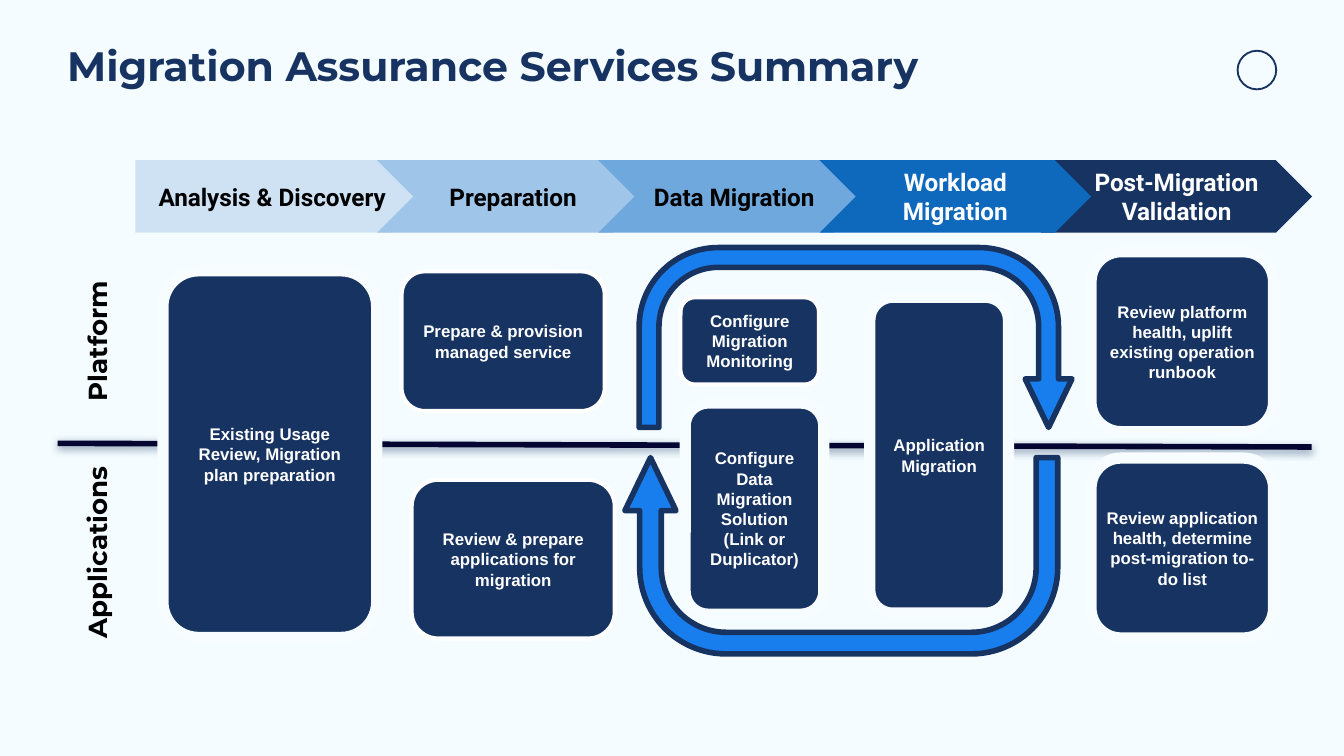
from lxml.etree import SubElement
from pptx import Presentation
from pptx.dml.color import RGBColor
from pptx.enum.shapes import MSO_CONNECTOR, MSO_SHAPE as Preset
from pptx.enum.text import MSO_ANCHOR as Anchor, MSO_AUTO_SIZE as AutoSize, PP_ALIGN as Align
from pptx.oxml.ns import qn
from pptx.util import Cm, Pt

NAVY = RGBColor(0x17, 0x33, 0x61)
MIDNIGHT = RGBColor(0x04, 0x05, 0x31)
BRIGHT = RGBColor(0x19, 0x7E, 0xED)
WHITE = RGBColor(0xFF, 0xFF, 0xFF)
HALO = RGBColor(0xF6, 0xFC, 0xFF)
BLACK = RGBColor(0x00, 0x00, 0x00)
BACKDROP = RGBColor(0xF4, 0xFC, 0xFF)

TITLE = "Migration Assurance Services Summary"
PHASES = [
    (0, "Analysis & Discovery", RGBColor(0xCF, 0xE2, 0xF3), BLACK),
    (1, "Preparation", RGBColor(0x9F, 0xC5, 0xE8), BLACK),
    (2, "Data Migration", RGBColor(0x6F, 0xA8, 0xDC), BLACK),
    (4, "Post-Migration Validation", NAVY, WHITE),
    (3, "Workload Migration", RGBColor(0x0E, 0x68, 0xBC), WHITE),
]
LANES = [("Platform", 6.45, 2.64), ("Applications", 10.44, 3.68)]
WIDE_HALO = (HALO, 6)
THIN_HALO = (WHITE, 2.25)
CARDS = [
    ("Existing Usage Review, Migration plan preparation", (3.08, 5.12, 4.04, 6.93), WIDE_HALO),
    ("Prepare & provision managed service", (7.59, 5.13, 3.84, 2.64), THIN_HALO),
    ("Review & prepare applications for migration", (7.78, 9.07, 3.84, 3), THIN_HALO),
    ("Configure Data Migration Solution\v(Link or Duplicator)", (12.95, 7.62, 2.62, 3.99), WIDE_HALO),
    ("Application Migration", (16.44, 5.62, 2.62, 5.97), WIDE_HALO),
    ("Configure Migration Monitoring", (12.86, 5.62, 2.62, 1.65), THIN_HALO),
    ("Review platform health, uplift existing operation runbook", (20.62, 4.76, 3.45, 3.4), WIDE_HALO),
    ("Review application health, determine post-migration to-do list", (20.62, 8.66, 3.45, 3.4), WIDE_HALO),
]
CYCLE = [((11.81, 8.65, 8.18, 3.71), 180), ((12.08, 4.68, 8.18, 3.4), 0)]
CYCLE_BENDS = (0.11, 0.13, 0.27, 0.44, 1)

PHASE_TOP, PHASE_HEIGHT = 3.03, 1.37
FIRST_LEFT, FIRST_WIDTH = 2.56, 5.51
CHEVRON_LEFT, CHEVRON_WIDTH, CHEVRON_STEP = 7.13, 5.13, 4.18
LANE_CENTER, LANE_HEIGHT = 1.83, 0.86
CARD_ROUNDING, CARD_INSET = 1 / 6, 0.12


def place(lengths):
    return [Cm(length) for length in lengths]


def write(holder, text, font_name, size, color, inset, align=Align.CENTER):
    frame = holder.text_frame
    frame.text = text
    frame.word_wrap = True
    frame.margin_left = frame.margin_right = Cm(inset)
    frame.margin_top = frame.margin_bottom = Cm(inset)
    for paragraph in frame.paragraphs:
        paragraph.alignment = align
        for run in paragraph.runs:
            run.font.name = font_name
            run.font.size = Pt(size)
            run.font.bold = True
            run.font.color.rgb = color
    return frame


def add_block(slide, preset, box, fill, outline=None):
    block = slide.shapes.add_shape(preset, *place(box))
    block.shadow.inherit = False
    block.fill.solid()
    block.fill.fore_color.rgb = fill
    if outline:
        color, width = outline
        block.line.color.rgb = color
        block.line.width = Pt(width)
        SubElement(block.element.spPr.find(qn("a:ln")), qn("a:round"))
    else:
        block.line.fill.background()
    return block


def add_title(slide):
    title = slide.shapes.title
    title.left, title.top, title.width, title.height = place((1.27, 0.74, 21.62, 1.17))
    frame = write(title, TITLE, "Montserrat", 22, NAVY, 0.13, Align.LEFT)
    frame.margin_left, frame.margin_right = Cm(0), Cm(0.25)
    frame.vertical_anchor = Anchor.TOP
    frame.auto_size = AutoSize.NONE
    frame.paragraphs[0].line_spacing = 0.9


def add_phases(slide):
    for step, name, fill, color in PHASES:
        if step == 0:
            preset, left, width = Preset.PENTAGON, FIRST_LEFT, FIRST_WIDTH
        else:
            preset, width = Preset.CHEVRON, CHEVRON_WIDTH
            left = CHEVRON_LEFT + (step - 1) * CHEVRON_STEP
        phase = add_block(slide, preset, (left, PHASE_TOP, width, PHASE_HEIGHT), fill)
        write(phase, name, "Roboto", 13, color, 0.25).vertical_anchor = Anchor.MIDDLE


def add_lanes(slide):
    for name, middle, width in LANES:
        box = (LANE_CENTER - width / 2, middle - LANE_HEIGHT / 2, width, LANE_HEIGHT)
        lane = slide.shapes.add_textbox(*place(box))
        lane.rotation = 270
        write(lane, name, "Montserrat", 14, BLACK, 0.13)

    divider = slide.shapes.add_connector(MSO_CONNECTOR.STRAIGHT, *place((1.09, 8.38, 24.79, 8.45)))
    divider.line.color.rgb = MIDNIGHT
    divider.line.width = Pt(3)
    effects = SubElement(divider.element.spPr, qn("a:effectLst"))
    shadow = SubElement(effects, qn("a:outerShdw"), blurRad=str(Pt(4.5)), dist=str(Pt(1.5)),
                        dir="5400000", algn="bl", rotWithShape="0")
    tint = SubElement(shadow, qn("a:srgbClr"), val=str(NAVY))
    SubElement(tint, qn("a:alpha"), val="50000")


def add_cards(slide):
    for text, box, halo in CARDS:
        card = add_block(slide, Preset.ROUNDED_RECTANGLE, box, NAVY, halo)
        card.adjustments[0] = CARD_ROUNDING
        write(card, text, "Arial", 9, WHITE, CARD_INSET).vertical_anchor = Anchor.MIDDLE


def add_cycle(slide):
    for box, turn in CYCLE:
        arrow = add_block(slide, Preset.U_TURN_ARROW, box, BRIGHT, (NAVY, 3))
        arrow.rotation = turn
        for index, bend in enumerate(CYCLE_BENDS):
            arrow.adjustments[index] = bend


def main():
    deck = Presentation()
    deck.slide_width, deck.slide_height = Cm(25.4), Cm(14.29)
    slide = deck.slides.add_slide(deck.slide_layouts[5])
    slide.background.fill.solid()
    slide.background.fill.fore_color.rgb = BACKDROP

    add_block(slide, Preset.OVAL, (23.39, 0.96, 0.73, 0.73), BACKDROP, (NAVY, 1))
    add_title(slide)
    add_phases(slide)
    add_lanes(slide)
    add_cards(slide)
    add_cycle(slide)
    deck.save("out.pptx")


if __name__ == "__main__":
    main()
